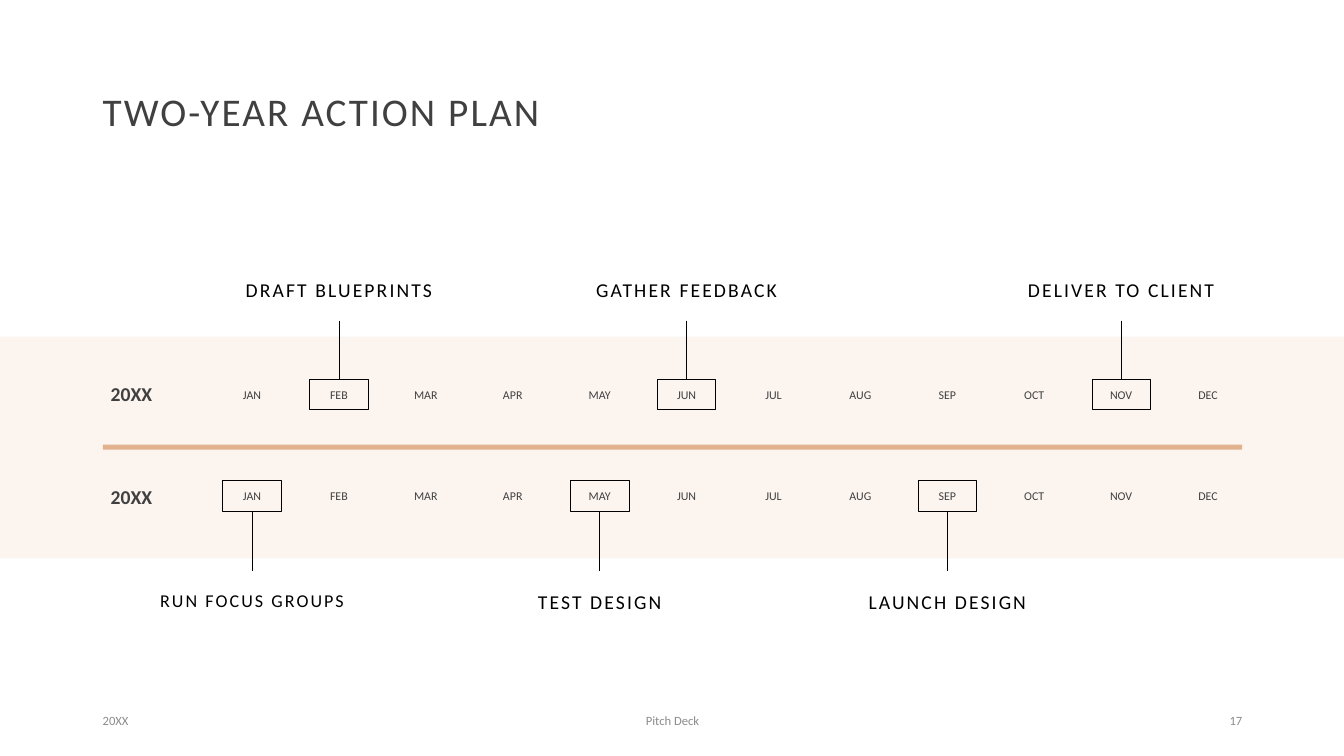
from pptx import Presentation
from pptx.dml.color import RGBColor
from pptx.enum.shapes import MSO_CONNECTOR, MSO_SHAPE
from pptx.enum.text import MSO_ANCHOR as ANCHOR, PP_ALIGN as ALIGN
from pptx.oxml.ns import qn
from pptx.util import Inches, Pt

TITLE = "TWO-YEAR ACTION PLAN"
MONTHS = ["JAN", "FEB", "MAR", "APR", "MAY", "JUN",
          "JUL", "AUG", "SEP", "OCT", "NOV", "DEC"]
# tops are in inches; milestones are (month, label, point size)
YEARS = [
    {"name": "20XX", "name_top": 3.67, "months_top": 3.83, "box_top": 3.76,
     "line": (3.18, 3.76), "label_top": 2.43, "anchor": ANCHOR.BOTTOM,
     "milestones": [("FEB", "DRAFT BLUEPRINTS", 14),
                    ("JUN", "GATHER FEEDBACK", 14),
                    ("NOV", "DELIVER TO CLIENT", 14)]},
    {"name": "20XX", "name_top": 4.69, "months_top": 4.84, "box_top": 4.77,
     "line": (5.07, 5.66), "label_top": 5.69, "anchor": ANCHOR.TOP,
     "milestones": [("JAN", "RUN FOCUS GROUPS", 12.9),
                    ("MAY", "TEST DESIGN", 14),
                    ("SEP", "LAUNCH DESIGN", 14)]},
]
FOOTER = [("20XX", 0.92, 3, ALIGN.LEFT),
          ("Pitch Deck", 4.42, 4.5, ALIGN.CENTER),
          ("17", 9.42, 3, ALIGN.RIGHT)]

FONT = "Calibri"
BLACK, DARK, GREY = "000000", "404040", "8C8C8C"
BAND, RULE = "FBF4EF", "E2B18D"
FIRST_MONTH, MONTH_STEP = 2.5, 0.862
MONTH_W, BOX_W, LABEL_W = 0.7, 0.58, 2.25

YEAR_FMT = {"line_spacing": 0.9, "space_before": Pt(10)}
MONTH_FMT = {"alignment": ALIGN.CENTER, "line_spacing": 0.7, "space_before": Pt(10)}
LABEL_FMT = {"alignment": ALIGN.CENTER, "line_spacing": 1.5, "space_before": Pt(10)}


def rgb(color):
    return RGBColor.from_string(color)


def add_text(s, text, box, size, color, fmt, anchor=ANCHOR.MIDDLE, bold=False, spacing=0):
    """Add one line of text; spacing is the letter spacing in points."""
    tf = s.shapes.add_textbox(*map(Inches, box)).text_frame
    tf.word_wrap = True
    tf.vertical_anchor = anchor
    p = tf.paragraphs[0]
    for name, value in fmt.items():
        setattr(p, name, value)
    r = p.add_run()
    r.text = text
    for name, value in {"name": FONT, "size": Pt(size), "bold": bold}.items():
        setattr(r.font, name, value)
    r.font.color.rgb = rgb(color)
    if spacing:
        r.font._element.set("spc", str(int(spacing * 100)))


def add_box(s, box, fill=None, line=None):
    sp = s.shapes.add_shape(MSO_SHAPE.RECTANGLE, *map(Inches, box))
    sp.shadow.inherit = False
    for part, color in ((sp.fill, fill), (sp.line.fill, line)):
        if color:
            part.solid()
            part.fore_color.rgb = rgb(color)
        else:
            part.background()
    if line:
        sp.line.width = Pt(0.5)


def add_stem(s, x, top, bottom):
    """Add the vertical line that joins a month box to its label."""
    c = s.shapes.add_connector(MSO_CONNECTOR.STRAIGHT,
                               *map(Inches, (x, top, x, bottom)))
    c.line.width = Pt(0.5)
    c.line.color.rgb = rgb(BLACK)
    sp_pr = c._element.spPr
    sp_pr.append(sp_pr.makeelement(qn("a:effectLst"), {}))


def add_year(s, year):
    add_text(s, year["name"], (1, year["name_top"], 0.8, 0.5), 14, DARK, YEAR_FMT, bold=True)
    centers = {m: FIRST_MONTH + i * MONTH_STEP for i, m in enumerate(MONTHS)}
    for month, x in centers.items():
        add_text(s, month, (x - MONTH_W / 2, year["months_top"], MONTH_W, 0.22),
                 8.5, DARK, MONTH_FMT, ANCHOR.TOP)
    for month, label, size in year["milestones"]:
        x = centers[month]
        add_stem(s, x, *year["line"])
        add_box(s, (x - BOX_W / 2, year["box_top"], BOX_W, 0.3), line=BLACK)
        add_text(s, label, (x - LABEL_W / 2, year["label_top"], LABEL_W, 0.61),
                 size, BLACK, LABEL_FMT, year["anchor"], spacing=1.5)


def main():
    prs = Presentation()
    prs.slide_width, prs.slide_height = Inches(13.33), Inches(7.5)
    s = prs.slides.add_slide(prs.slide_layouts[6])
    add_box(s, (0, 3.34, 13.33, 2.2), fill=BAND)
    add_box(s, (1.02, 4.41, 11.3, 0.05), fill=RULE)
    add_text(s, TITLE, (0.92, 0.4, 11.5, 1.45), 28, DARK, {"line_spacing": 0.9}, spacing=1.5)
    for year in YEARS:
        add_year(s, year)
    for text, left, width, align in FOOTER:
        add_text(s, text, (left, 6.95, width, 0.4), 9, GREY, {"alignment": align})
    prs.save("out.pptx")


if __name__ == "__main__":
    main()
